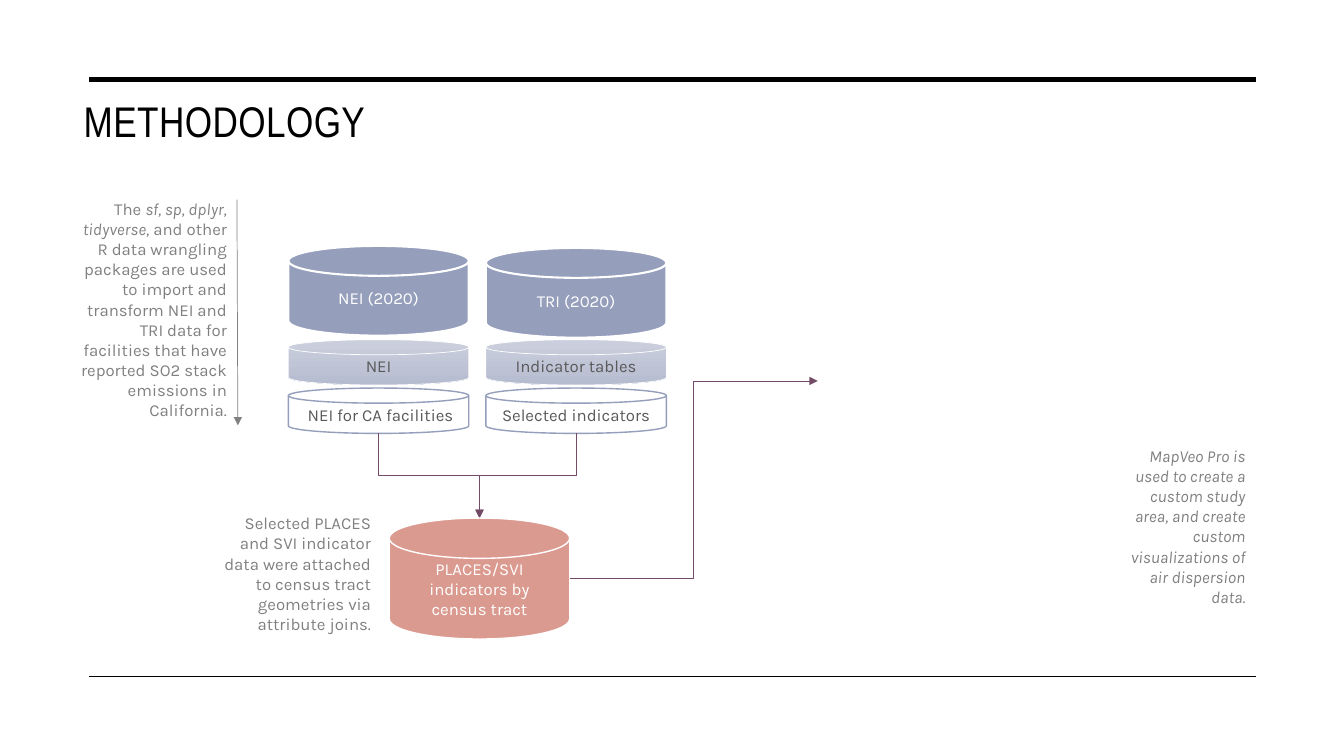
from dataclasses import dataclass

import lxml.etree
import pptx
import pptx.dml.color
import pptx.enum.shapes
import pptx.enum.text
import pptx.oxml.ns
import pptx.util

# Positions and sizes are percentages of the slide's width (x) and height (y).
SLIDE_WIDTH = pptx.util.Inches(13.33)
SLIDE_HEIGHT = pptx.util.Inches(7.5)

BLACK, WHITE, GREY, DARK_GREY = "000000", "FFFFFF", "808080", "595959"
BLUE, LIGHT_BLUE, MID_BLUE = "959EBB", "CBCFDD", "B6BCD0"
CORAL, PLUM = "DB9A8F", "734B67"

DISK_WIDTH = 13.43
SOURCE_LEFT, SOURCE_PITCH = 21.45, 14.7
SOURCE_BOTTOM = 57.33
RESULT_LEFT, RESULT_TOP, RESULT_HEIGHT = 28.96, 68.53, 16

Point = tuple[float, float]
Runs = list[tuple[str, bool]]


@dataclass
class DiskStyle:
    fills: list[str]
    line: str
    line_width: float
    text: str


@dataclass
class Disk:
    text: str
    left: float
    top: float
    height: float
    style: DiskStyle


@dataclass
class Note:
    left: float
    top: float
    width: float
    height: float
    runs: Runs


DATABASE = DiskStyle([BLUE], WHITE, 1.5, WHITE)
TABLE = DiskStyle([LIGHT_BLUE, MID_BLUE], WHITE, 0.5, DARK_GREY)
SELECTION = DiskStyle([WHITE], BLUE, 1, DARK_GREY)
RESULT = DiskStyle([CORAL], WHITE, 1, WHITE)

# Database name, database top, table name, selection name
SOURCES = [
    ("NEI (2020)", 32.53, "NEI", " NEI for CA facilities"),
    ("TRI (2020)", 32.8, "Indicator tables", "Selected indicators"),
]

NOTES = [
    Note(4.8, 25.6, 12.83, 30.93, [
        ("The ", False),
        ("sf, sp, dplyr, tidyverse,", True),
        (" and other R data wrangling packages are used to import and transform "
         "NEI and TRI data for facilities that have reported SO2 stack "
         "emissions in California.", False),
    ]),
    Note(82.67, 58.27, 10.73, 22.93, [
        ("MapVeo Pro is used to create a custom study area, and create custom "
         "visualizations of air dispersion data.", True),
    ]),
    Note(15, 67.2, 13.35, 17.47, [
        ("Selected PLACES and SVI indicator data were attached to census tract "
         "geometries via attribute joins.", False),
    ]),
]


def across(share: float) -> int:
    return round(SLIDE_WIDTH * share / 100)


def down(share: float) -> int:
    return round(SLIDE_HEIGHT * share / 100)


def color(value: str) -> pptx.dml.color.RGBColor:
    return pptx.dml.color.RGBColor.from_string(value)


def add_run(paragraph, text: str, hex_color: str, italic: bool = False,
            size: float = 12, font: str = "Karla"):
    run = paragraph.add_run()
    run.text = text
    run.font.name = font
    run.font.size = pptx.util.Pt(size)
    run.font.italic = italic
    run.font.color.rgb = color(hex_color)
    return run


def add_title(slide, text: str) -> None:
    title = slide.shapes.title
    title.left, title.top = across(5.48), down(12.67)
    title.width, title.height = across(40.06), down(8.4)
    frame = title.text_frame
    frame.auto_size = pptx.enum.text.MSO_AUTO_SIZE.NONE
    frame.vertical_anchor = pptx.enum.text.MSO_ANCHOR.TOP
    paragraph = frame.paragraphs[0]
    paragraph.alignment = pptx.enum.text.PP_ALIGN.LEFT
    paragraph.line_spacing = 0.9
    run = add_run(paragraph, text, BLACK, size=30.6, font="Arial Narrow")
    run.font._element.set("spc", "30")


def add_disk(slide, disk: Disk) -> None:
    shape = slide.shapes.add_shape(
        pptx.enum.shapes.MSO_SHAPE.FLOWCHART_MAGNETIC_DISK,
        across(disk.left), down(disk.top), across(DISK_WIDTH), down(disk.height))
    shape.shadow.inherit = False
    style = disk.style
    if len(style.fills) == 1:
        shape.fill.solid()
        shape.fill.fore_color.rgb = color(style.fills[0])
    else:
        shape.fill.gradient()
        shape.fill.gradient_angle = 270
        for stop, fill in zip(shape.fill.gradient_stops, style.fills):
            stop.color.rgb = color(fill)
    shape.line.color.rgb = color(style.line)
    shape.line.width = pptx.util.Pt(style.line_width)
    frame = shape.text_frame
    frame.word_wrap = True
    frame.vertical_anchor = pptx.enum.text.MSO_ANCHOR.MIDDLE
    paragraph = frame.paragraphs[0]
    paragraph.alignment = pptx.enum.text.PP_ALIGN.CENTER
    for index, line in enumerate(disk.text.split("\n")):
        if index:
            paragraph.add_line_break()
        add_run(paragraph, line, style.text)


def add_note(slide, note: Note) -> None:
    box = slide.shapes.add_textbox(
        across(note.left), down(note.top), across(note.width), down(note.height))
    frame = box.text_frame
    frame.word_wrap = True
    frame.auto_size = pptx.enum.text.MSO_AUTO_SIZE.SHAPE_TO_FIT_TEXT
    paragraph = frame.paragraphs[0]
    paragraph.alignment = pptx.enum.text.PP_ALIGN.RIGHT
    for text, italic in note.runs:
        add_run(paragraph, text, GREY, italic)


def add_line(slide, start: Point, end: Point, hex_color: str, width: float,
             arrow: bool = False, elbow: bool = False, downward: bool = False) -> None:
    """Draw a connector; a downward elbow leaves and arrives vertically."""
    x1, y1, x2, y2 = across(start[0]), down(start[1]), across(end[0]), down(end[1])
    rotation = 0
    if downward:
        # Lay the elbow on its side about its centre, then turn it.
        center_x, center_y = (x1 + x2) // 2, (y1 + y2) // 2
        half_length, half_breadth = (y2 - y1) // 2, abs(x2 - x1) // 2
        rotation, side = (270, 1) if x2 > x1 else (90, -1)
        x1, x2 = center_x + side * half_length, center_x - side * half_length
        y1, y2 = center_y - half_breadth, center_y + half_breadth
    kinds = pptx.enum.shapes.MSO_CONNECTOR
    connector = slide.shapes.add_connector(
        kinds.ELBOW if elbow else kinds.STRAIGHT, x1, y1, x2, y2)
    connector.line.color.rgb = color(hex_color)
    connector.line.width = pptx.util.Pt(width)
    qualified = pptx.oxml.ns.qn
    properties = connector._element.spPr
    if rotation:
        properties.find(qualified("a:xfrm")).set("rot", str(rotation * 60000))
    if arrow:
        line = properties.find(qualified("a:ln"))
        lxml.etree.SubElement(line, qualified("a:tailEnd"), type="triangle")
    lxml.etree.SubElement(properties, qualified("a:effectLst"))


def main() -> None:
    presentation = pptx.Presentation()
    presentation.slide_width = SLIDE_WIDTH
    presentation.slide_height = SLIDE_HEIGHT
    slide = presentation.slides.add_slide(presentation.slide_layouts[5])

    add_title(slide, "METHODOLOGY")
    for y, width in [(10.53, 3.5), (89.47, 1)]:
        add_line(slide, (6.6, y), (93.47, y), BLACK, width)

    result_top = (RESULT_LEFT + DISK_WIDTH / 2, RESULT_TOP)
    for column, (database, top, table, selection) in enumerate(SOURCES):
        left = SOURCE_LEFT + column * SOURCE_PITCH
        add_disk(slide, Disk(database, left, top, 11.87, DATABASE))
        add_disk(slide, Disk(table, left, 44.93, 6, TABLE))
        add_disk(slide, Disk(selection, left, SOURCE_BOTTOM - 6, 6, SELECTION))
        add_line(slide, (left + DISK_WIDTH / 2, SOURCE_BOTTOM), result_top,
                 PLUM, 0.5, arrow=True, elbow=True, downward=True)
    add_disk(slide, Disk("PLACES/SVI indicators by\ncensus tract",
                         RESULT_LEFT, RESULT_TOP, RESULT_HEIGHT, RESULT))
    add_line(slide, (RESULT_LEFT + DISK_WIDTH, RESULT_TOP + RESULT_HEIGHT / 2),
             (60.84, 50.4), PLUM, 0.5, arrow=True, elbow=True)
    add_line(slide, (17.63, 26.4), (17.7, 56.27), GREY, 0.5, arrow=True)
    for note in NOTES:
        add_note(slide, note)
    presentation.save("out.pptx")


if __name__ == "__main__":
    main()
